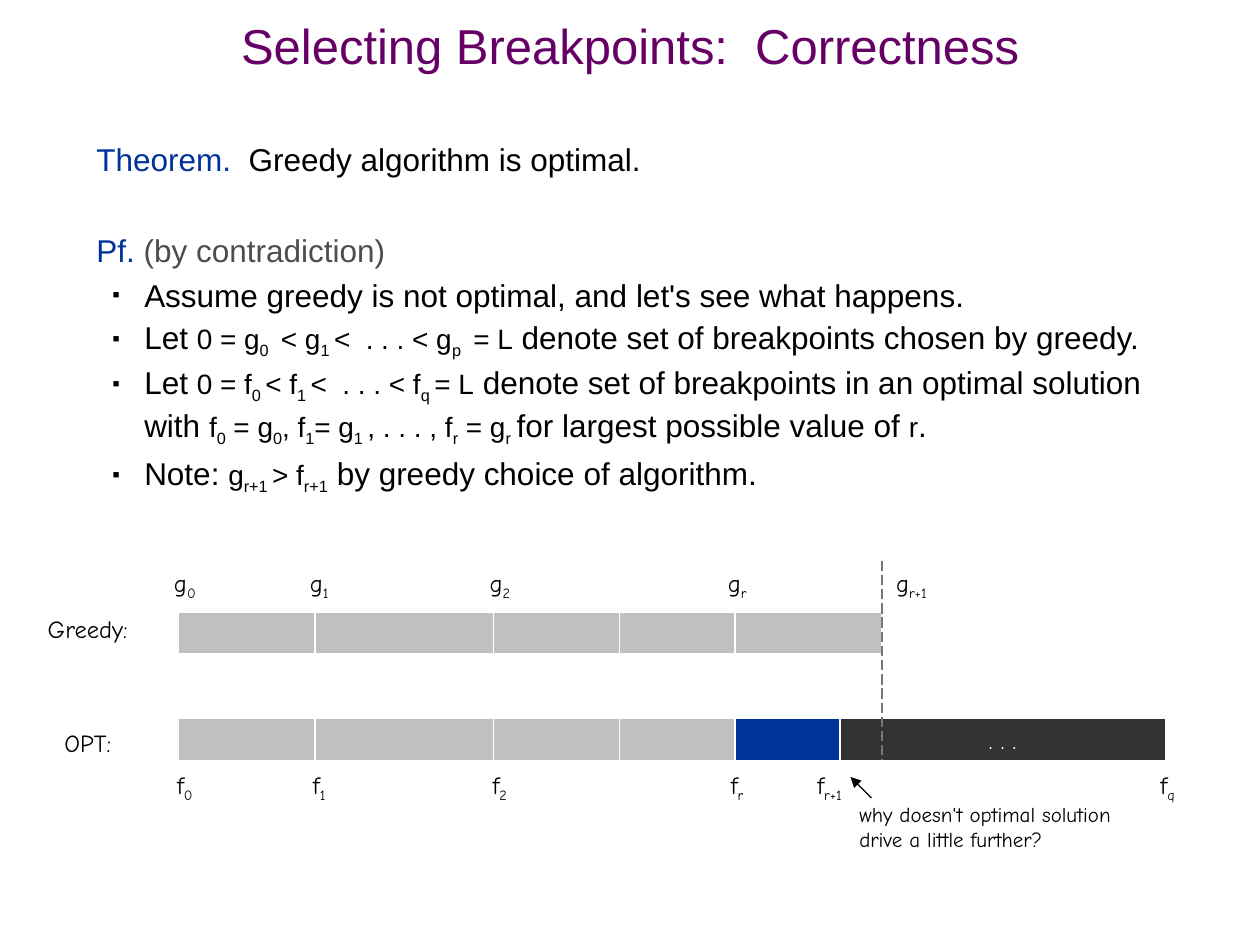
import pptx
import pptx.dml.color
import pptx.enum.dml
import pptx.enum.shapes
import pptx.enum.text
import pptx.oxml
import pptx.oxml.ns
import pptx.util

RGBColor = pptx.dml.color.RGBColor
PURPLE = RGBColor(0x66, 0x00, 0x66)
BLUE = RGBColor(0x00, 0x33, 0x99)
BLACK = RGBColor(0x00, 0x00, 0x00)
WHITE = RGBColor(0xFF, 0xFF, 0xFF)
SLATE = RGBColor(0x4D, 0x4D, 0x4D)
DASH_GRAY = RGBColor(0x77, 0x77, 0x77)
SILVER = RGBColor(0xC0, 0xC0, 0xC0)
CHARCOAL = RGBColor(0x33, 0x33, 0x33)

ALIGN = pptx.enum.text.PP_ALIGN
ANCHOR = pptx.enum.text.MSO_ANCHOR
Pt = pptx.util.Pt
SLIDE_WIDTH, SLIDE_HEIGHT = pptx.util.Inches(10), pptx.util.Inches(7.5)
CELL = SLIDE_WIDTH / 120
BAR_ROWS = 4
LABEL_ROWS = 4.44
SHARED_STOPS = [17, 30, 47, 59, 70]
GREEDY_END = 84
OPT_NEXT, OPT_END = 80, 111


def cells(*counts):
    """Turn grid columns or rows into slide lengths."""
    return [round(count * CELL) for count in counts]


def add_xml(parent, markup):
    """Append a drawing element to a parent element."""
    parent.append(pptx.oxml.parse_xml(markup.replace("/>", f" {pptx.oxml.ns.nsdecls('a')}/>", 1)))


def write(para, text, size=18, color=BLACK, font="Arial"):
    """Add text to a paragraph, with bars around each subscript."""
    for index, part in enumerate(text.split("|")):
        if part:
            span = para.add_run()
            span.text = part
            span.font.size = Pt(size)
            span.font.name = font
            span.font.color.rgb = color
            if index % 2:
                span._r.get_or_add_rPr().set("baseline", "-25000")


def add_label(page, box, text, size=14, wrap=False, align=ALIGN.CENTER, margin=None):
    """Place a diagram label in a grid box."""
    frame = page.shapes.add_textbox(*cells(*box)).text_frame
    frame.word_wrap = wrap
    frame.vertical_anchor = ANCHOR.TOP if wrap else ANCHOR.MIDDLE
    if margin is not None:
        frame.margin_left = frame.margin_right = margin
        frame.margin_top = frame.margin_bottom = margin
    frame.paragraphs[0].alignment = align
    write(frame.paragraphs[0], text, size=size, font="Comic Neue")


def add_line(page, start, end, color):
    """Draw a thin straight line between two grid points."""
    line = page.shapes.add_connector(
        pptx.enum.shapes.MSO_CONNECTOR.STRAIGHT, *cells(*start, *end))
    line.line.color.rgb = color
    line.line.width = Pt(0.75)
    add_xml(line._element.spPr, "<a:effectLst/>")
    return line


def add_title(page, box):
    """Place and format the slide title."""
    title = page.shapes.title
    title.left, title.top, title.width, title.height = cells(*box)
    frame = title.text_frame
    frame.vertical_anchor = ANCHOR.MIDDLE
    para = frame.paragraphs[0]
    para.alignment = ALIGN.CENTER
    para.line_spacing = 0.7
    write(para, "Selecting Breakpoints:  Correctness", size=28, color=PURPLE)


def add_proof(page, box):
    """Place the theorem and its bulleted proof."""
    frame = page.shapes.add_textbox(*cells(*box)).text_frame
    frame.word_wrap = True
    theorem, proof = frame.paragraphs[0], frame.add_paragraph()
    write(theorem, "Theorem.  ", color=BLUE)
    write(theorem, "Greedy algorithm is optimal.")
    write(proof, "Pf. ", color=BLUE)
    write(proof, "(by contradiction)", color=SLATE)
    proof.space_before = Pt(26)
    steps = [
        [("Assume greedy is not optimal, and let's see what happens.", 18)],
        [("Let ", 18), ("0 = g|0 | < g|1 |<  . . . < g|p | = L", 16),
         (" denote set of breakpoints chosen by greedy.", 18)],
        [("Let ", 18), ("0 = f|0 |< f|1 |<  . . . < f|q |= L", 16),
         (" denote set of breakpoints in an optimal solution with ", 18),
         ("f|0| = g|0|, f|1|= g|1 |, . . . , f|r| = g|r|", 16), ("| |", 20),
         ("for largest possible value of ", 18), ("r", 16), (".", 18)],
        [("Note: ", 18), ("g|r+1 |> f|r+1  |", 16), ("by greedy choice of algorithm.", 18)],
    ]
    for step in steps:
        para = frame.add_paragraph()
        for text, size in step:
            write(para, text, size=size)
        properties = para._p.get_or_add_pPr()
        properties.set("marL", str(pptx.util.Inches(0.38)))
        properties.set("indent", str(pptx.util.Inches(-0.25)))
    for para in frame.paragraphs:
        para.line_spacing = Pt(26)
    for para in frame.paragraphs[2:]:
        add_xml(para._p.pPr, '<a:buSzPct val="35000"/>')
        add_xml(para._p.pPr, '<a:buFont typeface="Arial"/>')
        add_xml(para._p.pPr, '<a:buChar char="■"/>')


def add_route(page, top, stops, fills):
    """Draw adjoining segments between stops and return the last one."""
    for left, right, fill in zip(stops, stops[1:], fills):
        bar = page.shapes.add_shape(
            pptx.enum.shapes.MSO_SHAPE.RECTANGLE, *cells(left, top, right - left, BAR_ROWS))
        bar.shadow.inherit = False
        bar.fill.solid()
        bar.fill.fore_color.rgb = fill
        bar.line.color.rgb = WHITE
        bar.line.width = Pt(0.75)
    return bar


def add_stop_labels(page, top, letter, centers):
    """Label the stops above or below a route."""
    for subscript, center in centers.items():
        width = 5.76 if subscript == "r+1" else 4.5
        add_label(page, (center - width / 2, top, width, LABEL_ROWS), f"{letter}|{subscript}|")


def add_diagram(page, box):
    """Compare the greedy and optimal routes inside a grid box."""
    left, top, width, height = box
    greedy_top, opt_top = top + 4.9, top + 15
    rest = add_route(page, opt_top, SHARED_STOPS + [OPT_NEXT, OPT_END],
                     [SILVER] * 4 + [BLUE, CHARCOAL])
    rest.text_frame.word_wrap = False
    rest.text_frame.vertical_anchor = ANCHOR.MIDDLE
    rest.text_frame.paragraphs[0].alignment = ALIGN.CENTER
    write(rest.text_frame.paragraphs[0], ". . .", size=14, color=WHITE, font="Comic Neue")
    add_route(page, greedy_top, SHARED_STOPS + [GREEDY_END], [SILVER] * 5)
    add_label(page, (left, greedy_top - 0.6, 10.9, LABEL_ROWS), "Greedy:")
    add_label(page, (left, opt_top + 0.1, 10.9, LABEL_ROWS), "OPT:")
    shared = {"0": 17.6, "1": 30.4, "2": 47.6, "r": 70.2}
    add_stop_labels(page, top + 0.1, "g", {**shared, "r+1": 86.8})
    add_stop_labels(page, top + 19.3, "f", {**shared, "r+1": 79, "q": 111.2})
    add_label(page, (81.84, top + 22.9, 28.1, 5.64),
              "why doesn't optimal solution drive a little further?",
              size=12, wrap=True, align=ALIGN.LEFT, margin=0)
    arrow = add_line(page, (83, top + height - 6), (81, top + height - 8), BLACK)
    add_xml(arrow.line._get_or_add_ln(), '<a:tailEnd type="triangle"/>')
    limit = add_line(page, (GREEDY_END, top), (GREEDY_END, opt_top + BAR_ROWS), DASH_GRAY)
    limit.line.dash_style = pptx.enum.dml.MSO_LINE.LONG_DASH


def main():
    """Build and save the deck."""
    deck = pptx.Presentation()
    deck.slide_width, deck.slide_height = SLIDE_WIDTH, SLIDE_HEIGHT
    page = deck.slides.add_slide(deck.slide_layouts[5])
    add_title(page, (0, 2, 120, 6))
    add_proof(page, (8, 12, 106, 71))
    add_diagram(page, (2.9, 53.4, 110.5, 28.6))
    deck.save("out.pptx")


if __name__ == "__main__":
    main()
